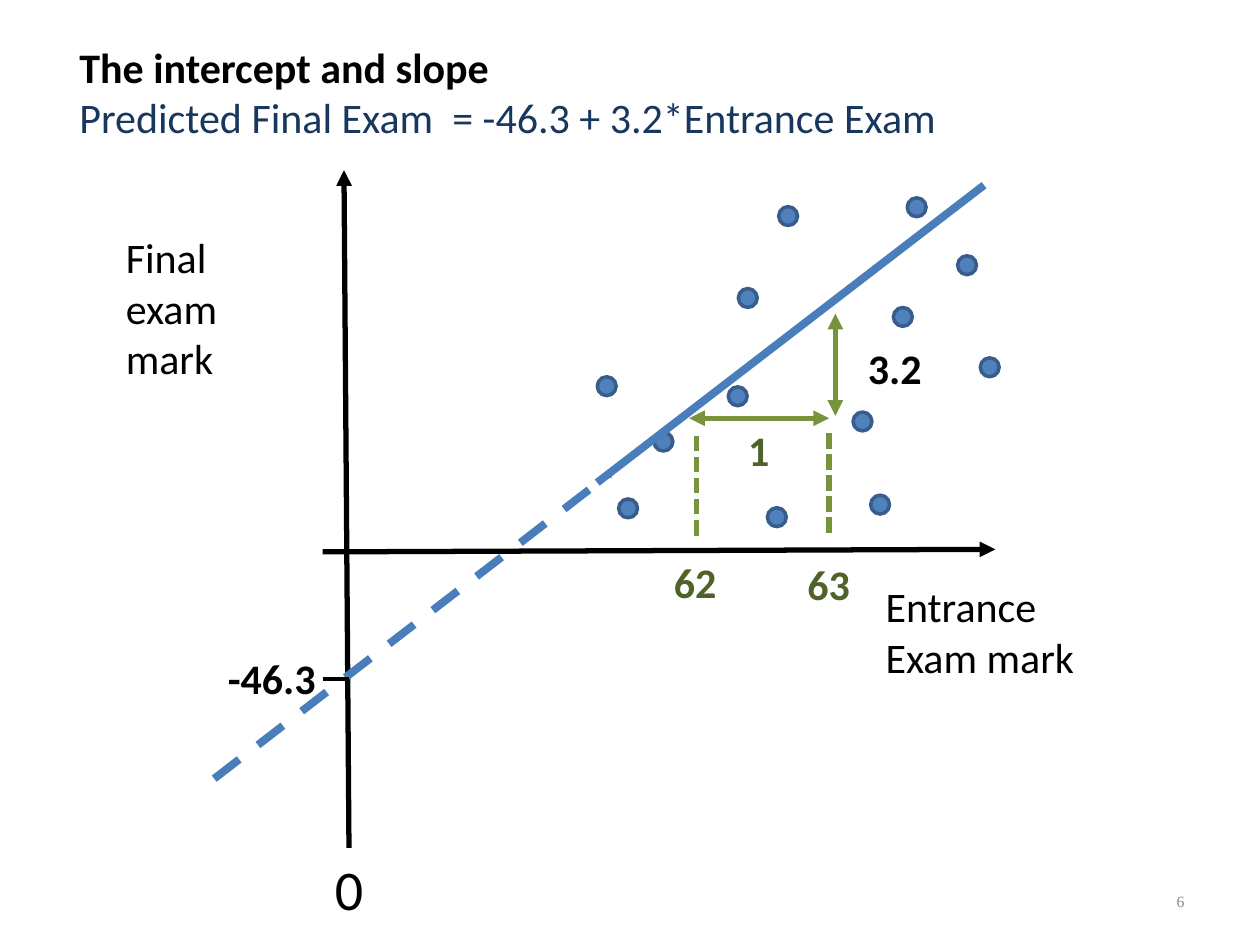
from lxml import etree
from pptx import Presentation
from pptx.dml.color import RGBColor
from pptx.enum.dml import MSO_LINE
from pptx.enum.shapes import MSO_CONNECTOR, MSO_SHAPE
from pptx.enum.text import MSO_ANCHOR, MSO_AUTO_SIZE, PP_ALIGN
from pptx.oxml.ns import qn
from pptx.util import Inches, Pt

STRAIGHT, OVAL = MSO_CONNECTOR.STRAIGHT, MSO_SHAPE.OVAL
DASH, SHORT_DASH = MSO_LINE.DASH, MSO_LINE.SQUARE_DOT
LEFT, RIGHT = PP_ALIGN.LEFT, PP_ALIGN.RIGHT
TOP, MIDDLE = MSO_ANCHOR.TOP, MSO_ANCHOR.MIDDLE
FIT_SHAPE = MSO_AUTO_SIZE.SHAPE_TO_FIT_TEXT

BLACK = RGBColor(0x00, 0x00, 0x00)
GREY = RGBColor(0x89, 0x89, 0x89)
NAVY = RGBColor(0x17, 0x37, 0x5E)
DOT_FILL = RGBColor(0x4F, 0x81, 0xBD)
DOT_EDGE = RGBColor(0x38, 0x5D, 0x8A)
TREND_BLUE = RGBColor(0x4A, 0x7E, 0xBB)
GREEN = RGBColor(0x77, 0x93, 0x3C)
DARK_GREEN = RGBColor(0x4F, 0x62, 0x28)

HEADING = "The intercept and slope"
EQUATION = "Predicted Final Exam  = -46.3 + 3.2*Entrance Exam"
PAGE_NUMBER = "6"

# Students: left and top of each dot, in inches
DOT_SIZE = 0.15
STUDENTS = [
    (5.86, 2.29), (4.74, 2.99), (5.19, 3.43), (7.09, 2.44), (5.78, 3.07),
    (4.91, 3.96), (6.91, 3.93), (6.77, 3.27), (6.18, 1.64), (7.6, 2.03),
    (7.78, 2.84), (7.2, 1.57), (6.09, 4.03),
]

# start, end, colour, width in points, dash, arrowheads
LINES = [
    ((2.56, 4.38), (7.9, 4.36), BLACK, 3, None, ["tailEnd"]),
    ((2.77, 6.73), (2.73, 1.35), BLACK, 3, None, ["tailEnd"]),
    ((4.74, 3.83), (7.81, 1.47), TREND_BLUE, 4.5, None, []),
    ((1.7, 6.18), (4.84, 3.76), TREND_BLUE, 4.5, DASH, []),
    ((2.56, 5.39), (2.77, 5.39), BLACK, 2.25, None, []),
    ((5.47, 3.32), (6.58, 3.32), GREEN, 3, None, ["headEnd", "tailEnd"]),
    ((6.63, 3.3), (6.63, 2.49), GREEN, 3, None, ["headEnd", "tailEnd"]),
    ((5.53, 4.25), (5.53, 3.43), GREEN, 3, SHORT_DASH, []),
    ((6.58, 4.23), (6.58, 3.42), GREEN, 3, SHORT_DASH, []),
]

# text, box (left, top, width, height), size, colour, bold
LABELS = [
    ("Entrance\nExam mark", (6.93, 4.56, 1.7, 0.9), 24, BLACK, False),
    ("Final\nexam\nmark", (0.9, 1.79, 0.93, 1.3), 24, BLACK, False),
    ("0", (2.56, 6.73, 0.42, 0.64), 32, BLACK, False),
    ("-46.3", (1.71, 5.13, 0.9, 0.5), 24, BLACK, True),
    ("1", (5.84, 3.32, 0.37, 0.5), 24, DARK_GREEN, True),
    ("62", (5.25, 4.37, 0.54, 0.5), 24, DARK_GREEN, True),
    ("63", (6.31, 4.38, 0.54, 0.5), 24, DARK_GREEN, True),
    ("3.2", (6.79, 2.67, 0.66, 0.5), 24, BLACK, True),
]


def style_runs(paragraph, size, color, bold=False, font="Calibri"):
    for run in paragraph.runs:
        run.font.name = font
        run.font.size = Pt(size)
        run.font.bold = bold
        run.font.color.rgb = color


def fill_title(title):
    title.left, title.top = Inches(0.23), Inches(0.28)
    title.width, title.height = Inches(10.57), Inches(0.9)
    frame = title.text_frame
    frame.text = f"{HEADING}\n{EQUATION}"
    frame.word_wrap = True
    frame.auto_size = FIT_SHAPE
    frame.vertical_anchor = TOP
    for paragraph, color, bold in zip(frame.paragraphs, (BLACK, NAVY), (True, False)):
        paragraph.alignment = LEFT
        paragraph._p.get_or_add_pPr().set("marL", str(Inches(0.3)))
        style_runs(paragraph, 24, color, bold)


def add_dot(slide, left, top):
    dot = slide.shapes.add_shape(
        OVAL, Inches(left), Inches(top), Inches(DOT_SIZE), Inches(DOT_SIZE))
    dot.shadow.inherit = False
    dot.fill.solid()
    dot.fill.fore_color.rgb = DOT_FILL
    dot.line.color.rgb = DOT_EDGE
    dot.line.width = Pt(2)


def add_line(slide, start, end, color, width, dash, arrowheads):
    connector = slide.shapes.add_connector(
        STRAIGHT, *(Inches(value) for value in start + end))
    line = connector.line
    line.color.rgb = color
    line.width = Pt(width)
    if dash is not None:
        line.dash_style = dash
    properties = connector._element.spPr
    for arrowhead in arrowheads:
        etree.SubElement(properties.find(qn("a:ln")), qn(f"a:{arrowhead}"), type="triangle")
    etree.SubElement(properties, qn("a:effectLst"))


def add_label(slide, text, box, size, color, bold):
    frame = slide.shapes.add_textbox(*(Inches(value) for value in box)).text_frame
    frame.text = text
    frame.word_wrap = False
    frame.auto_size = FIT_SHAPE
    for paragraph in frame.paragraphs:
        style_runs(paragraph, size, color, bold)


def add_page_number(slide):
    box = slide.shapes.add_textbox(Inches(7.17), Inches(6.95), Inches(2.33), Inches(0.4))
    frame = box.text_frame
    frame.text = PAGE_NUMBER
    frame.word_wrap = True
    frame.vertical_anchor = MIDDLE
    frame.paragraphs[0].alignment = RIGHT
    style_runs(frame.paragraphs[0], 9, GREY, font="Times New Roman")


def main():
    presentation = Presentation()
    presentation.slide_width, presentation.slide_height = Inches(10), Inches(7.5)
    title_only = presentation.slide_layouts.get_by_name("Title Only")
    slide = presentation.slides.add_slide(title_only)
    fill_title(slide.shapes.title)
    for student in STUDENTS:
        add_dot(slide, *student)
    for line in LINES:
        add_line(slide, *line)
    for label in LABELS:
        add_label(slide, *label)
    add_page_number(slide)
    presentation.save("out.pptx")


if __name__ == "__main__":
    main()
